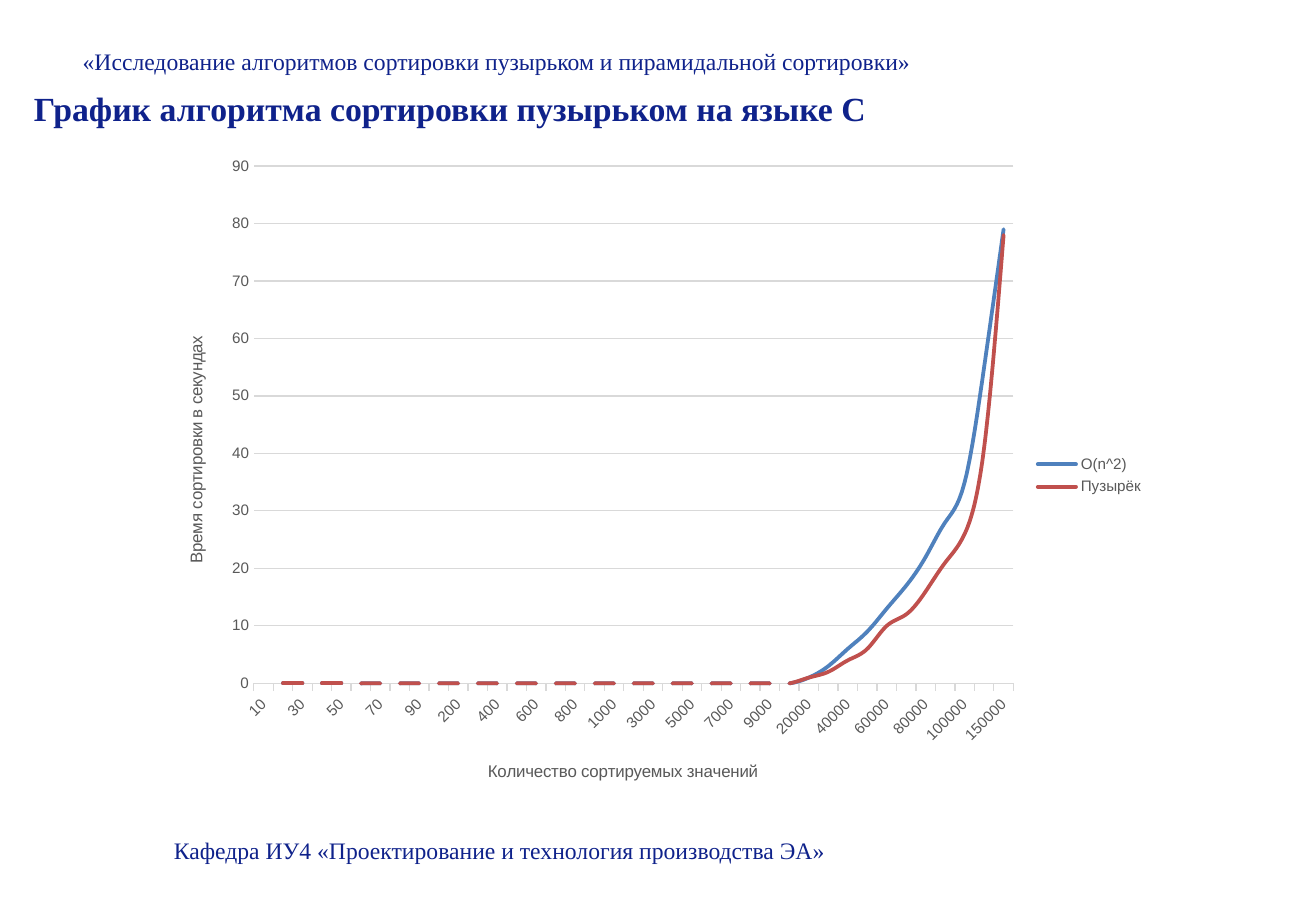
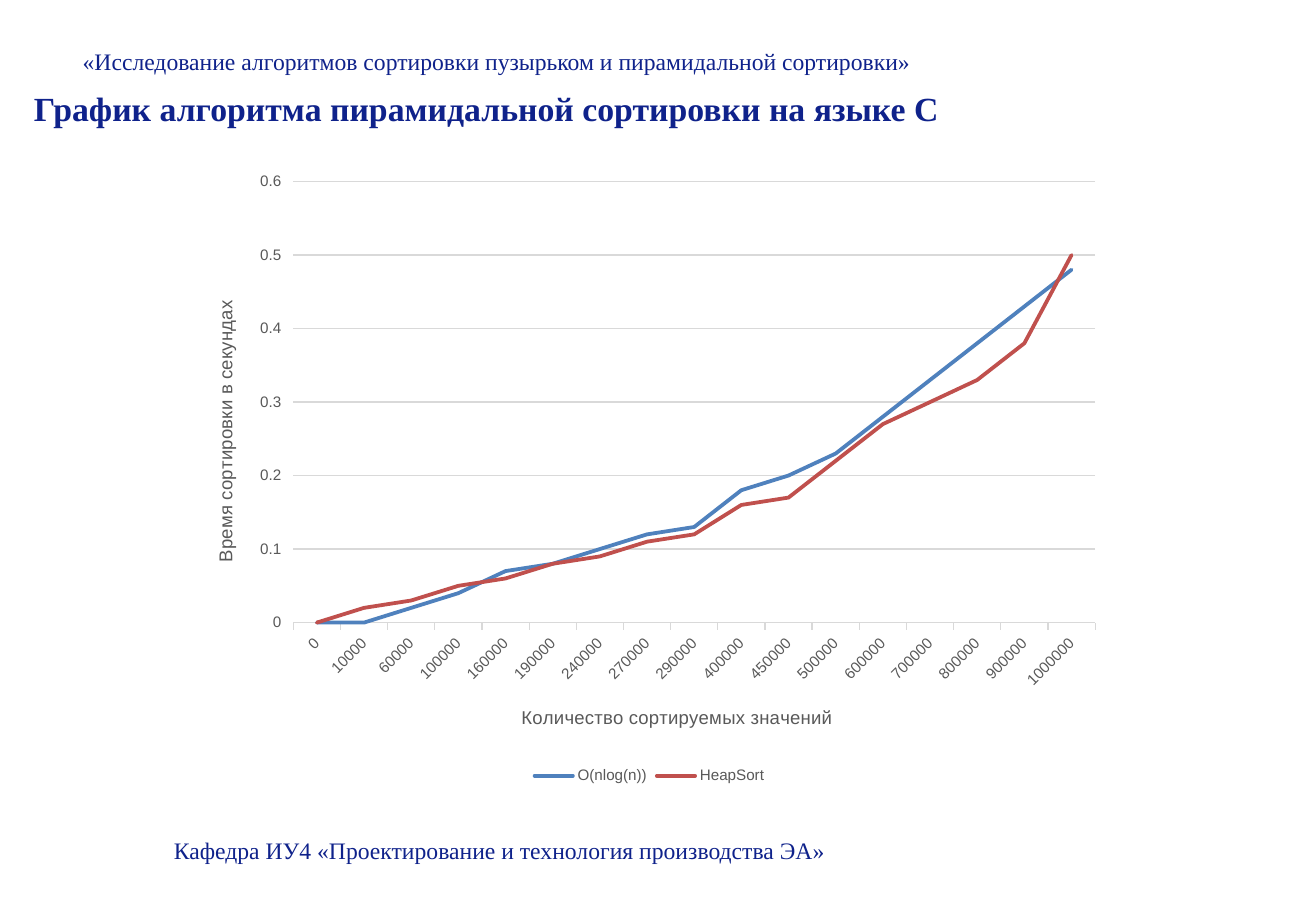
from dataclasses import dataclass

from lxml import etree
from pptx import Presentation
from pptx.chart.data import CategoryChartData
from pptx.dml.color import RGBColor
from pptx.enum.chart import XL_CHART_TYPE, XL_LEGEND_POSITION, XL_TICK_MARK
from pptx.enum.text import MSO_ANCHOR, MSO_AUTO_SIZE, PP_ALIGN
from pptx.oxml.ns import qn
from pptx.util import Cm, Pt

LINE = XL_CHART_TYPE.LINE
LEGEND_RIGHT, LEGEND_BOTTOM = XL_LEGEND_POSITION.RIGHT, XL_LEGEND_POSITION.BOTTOM
TICK_OUT, TICK_NONE = XL_TICK_MARK.OUTSIDE, XL_TICK_MARK.NONE
FIT_TEXT = MSO_AUTO_SIZE.SHAPE_TO_FIT_TEXT
TOP, LEFT = MSO_ANCHOR.TOP, PP_ALIGN.LEFT


@dataclass(frozen=True)
class Theme:
    navy = RGBColor(0x0F, 0x22, 0x8B)
    grey = RGBColor(0x59, 0x59, 0x59)
    grid = RGBColor(0xD9, 0xD9, 0xD9)
    series = (RGBColor(0x4F, 0x81, 0xBD), RGBColor(0xC0, 0x50, 0x4D))
    text_font = "Times New Roman"
    chart_font = "Arial"
    title_size = Pt(20)
    band_size = Pt(14)
    label_size = Pt(9)
    grid_width = Pt(0.75)
    series_width = Pt(2.25)


theme = Theme()


def style_font(font, name, size, color, bold=False):
    font.name, font.size, font.bold = name, size, bold
    font.color.rgb = color


def place_part(part, position, **percents):
    """Fix a chart part at percentages of the chart's size."""
    for old in part.findall(qn("c:layout")):
        part.remove(old)
    layout = etree.Element(qn("c:layout"))
    manual = etree.SubElement(layout, qn("c:manualLayout"))
    if "w" in percents:
        etree.SubElement(manual, qn("c:layoutTarget")).set("val", "inner")
    for mode in ("xMode", "yMode"):
        etree.SubElement(manual, qn(f"c:{mode}")).set("val", "edge")
    for key, value in percents.items():
        etree.SubElement(manual, qn(f"c:{key}")).set("val", f"{value / 100:.4f}")
    part.insert(position, layout)


# Content of the slides
topic = "«Исследование алгоритмов сортировки пузырьком и пирамидальной сортировки»"
department = "Кафедра ИУ4 «Проектирование и технология производства ЭА»"
count_title = "Количество сортируемых значений"
time_title = "Время сортировки в секундах"

bubble_counts = [digit * power for power in (10, 100, 1000, 10000) for digit in range(1, 10)]
bubble_counts += [100000, 125000, 150000]
instant = [0] * 28  # up to 10000 values

studies = [
    dict(
        title="График алгоритма сортировки пузырьком на языке C",
        frame=(3.35, 3, 20.83, 13.89),
        plot=dict(x=9.4, y=3.4, w=76.3, h=77.9),
        count_at=dict(x=32.6, y=92.4), time_at=dict(x=2.2, y=28.5),
        axis_title_size=Pt(10), time_tick=TICK_NONE, time_max=90, time_step=10,
        legend=LEGEND_RIGHT, smooth=True, counts=bubble_counts,
        times={
            "O(n^2)": instant + [1, 3, 6, 9, 13, 17, 22, 28, 35, 55, 79],
            "Пузырёк": instant + [1, 2, 4, 6, 10, 12, 16, 21, 26, 41, 78],
        },
    ),
    dict(
        title="График алгоритма пирамидальной сортировки на языке C",
        frame=(3.91, 3.35, 19.35, 13.16),
        plot=dict(x=11.5, y=3.4, w=86.7, h=70.1),
        count_at=dict(x=35.8, y=86), time_at=dict(x=2.4, y=21.7),
        axis_title_size=Pt(11), time_tick=TICK_OUT, time_max=0.6, time_step=0.1,
        legend=LEGEND_BOTTOM, smooth=False,
        counts=[0, 10000, 60000, 100000, 160000, 190000, 240000, 270000, 290000,
                400000, 450000, 500000, 600000, 700000, 800000, 900000, 1000000],
        times={
            "O(nlog(n))": [0, 0, 0.02, 0.04, 0.07, 0.08, 0.1, 0.12, 0.13,
                           0.18, 0.2, 0.23, 0.28, 0.33, 0.38, 0.43, 0.48],
            "HeapSort": [0, 0.02, 0.03, 0.05, 0.06, 0.08, 0.09, 0.11, 0.12,
                         0.16, 0.17, 0.22, 0.27, 0.3, 0.33, 0.38, 0.5],
        },
    ),
]

deck = Presentation()
deck.slide_width, deck.slide_height = Cm(27.53), Cm(19.05)

for study in studies:
    slide = deck.slides.add_slide(deck.slide_layouts[6])

    # Topic, title and department lines
    for text, box, size, bold in (
        (topic, (1.48, 0.85, 23.7, 0.86), theme.band_size, False),
        (study["title"], (0.46, 1.71, 24.74, 1.12), theme.title_size, True),
        (department, (3.39, 17.35, 19.89, 0.86), theme.band_size, False),
    ):
        left, top, width, height = map(Cm, box)
        outline = slide.shapes.build_freeform(left, top)
        outline.add_line_segments(
            [(left + width, top), (left + width, top + height), (left, top + height)])
        band = outline.convert_to_shape()
        band.shadow.inherit = False
        band.fill.background()
        band.line.fill.background()
        text_line = band.text_frame
        text_line.word_wrap = True
        text_line.auto_size = FIT_TEXT
        text_line.vertical_anchor = TOP
        text_line.text = text
        text_line.paragraphs[0].alignment = LEFT
        style_font(text_line.paragraphs[0].runs[0].font, theme.text_font, size, theme.navy, bold)

    # Chart of sorting times
    timings = CategoryChartData()
    timings.categories = [str(count) for count in study["counts"]]
    for name, seconds in study["times"].items():
        timings.add_series(name, seconds)
    chart = slide.shapes.add_chart(LINE, *map(Cm, study["frame"]), timings).chart
    style_font(chart.font, theme.chart_font, theme.label_size, theme.grey)
    chart.has_title = False
    chart.plots[0].vary_by_categories = False
    for curve, color in zip(chart.plots[0].series, theme.series):
        curve.smooth = study["smooth"]
        curve.format.line.color.rgb = color
        curve.format.line.width = theme.series_width
    for stroke in chart.element.xpath(".//c:ser/c:spPr/a:ln"):
        stroke.set("cap", "rnd")

    # Legend
    chart.has_legend = True
    chart.legend.position = study["legend"]
    chart.legend.include_in_layout = False
    style_font(chart.legend.font, theme.chart_font, theme.label_size, theme.grey)

    # Axes
    count_axis, time_axis = chart.category_axis, chart.value_axis
    for axis, title, spot, tick, angle in (
        (count_axis, count_title, study["count_at"], TICK_OUT, 0),
        (time_axis, time_title, study["time_at"], study["time_tick"], -90),
    ):
        axis.major_tick_mark, axis.minor_tick_mark = tick, TICK_NONE
        style_font(axis.tick_labels.font, theme.chart_font, theme.label_size, theme.grey)
        axis.axis_title.text_frame.text = title
        style_font(axis.axis_title.text_frame.paragraphs[0].runs[0].font,
                   theme.chart_font, study["axis_title_size"], theme.grey)
        title_part = axis.axis_title.element
        title_part.find(".//" + qn("a:bodyPr")).set("rot", str(angle * 60000))
        place_part(title_part, 1, **spot)

    chart.element.xpath(".//c:catAx/c:txPr/a:bodyPr")[0].set("rot", str(-45 * 60000))
    time_axis.minimum_scale, time_axis.maximum_scale = 0, study["time_max"]
    time_axis.major_unit = study["time_step"]
    time_axis.tick_labels.number_format = "General"
    time_axis.tick_labels.number_format_is_linked = False
    time_axis.format.line.fill.background()
    for rule in (count_axis.format.line, time_axis.major_gridlines.format.line):
        rule.color.rgb = theme.grid
        rule.width = theme.grid_width

    place_part(chart.element.find(".//" + qn("c:plotArea")), 0, **study["plot"])

deck.save("out.pptx")
